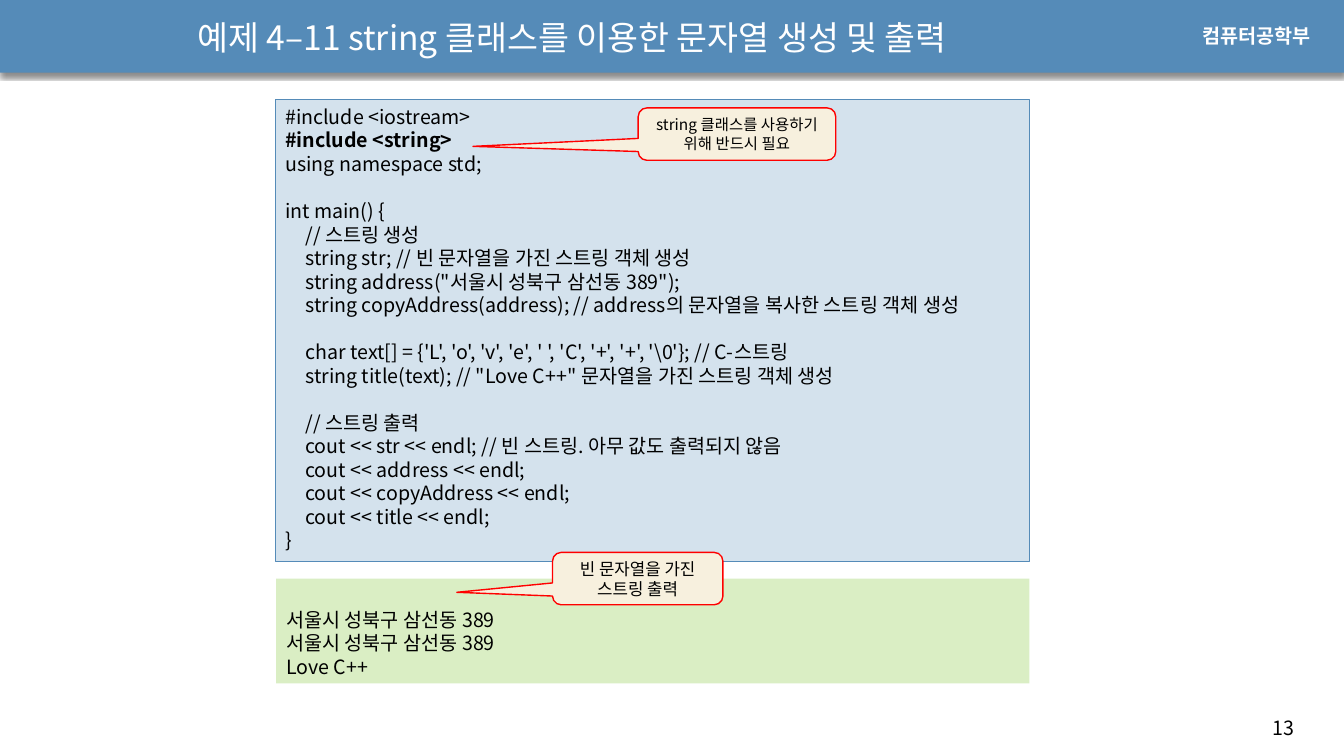
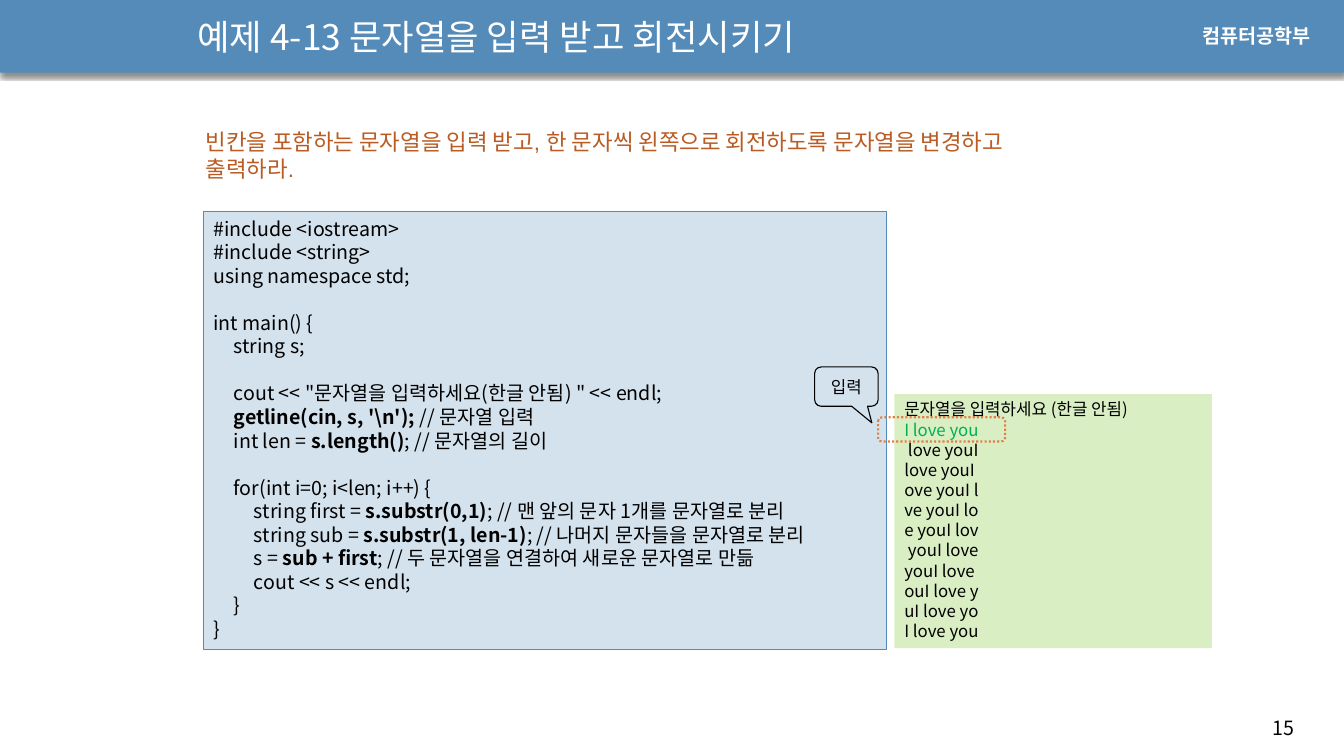
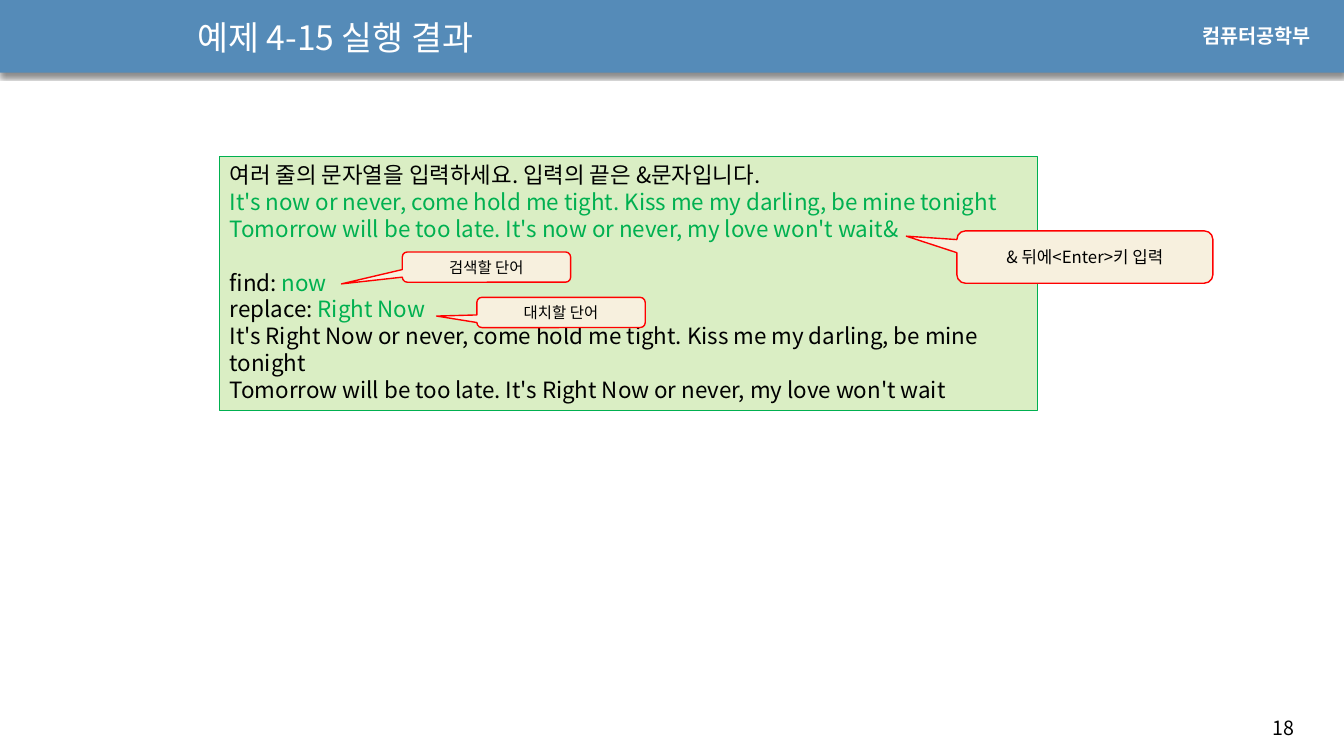
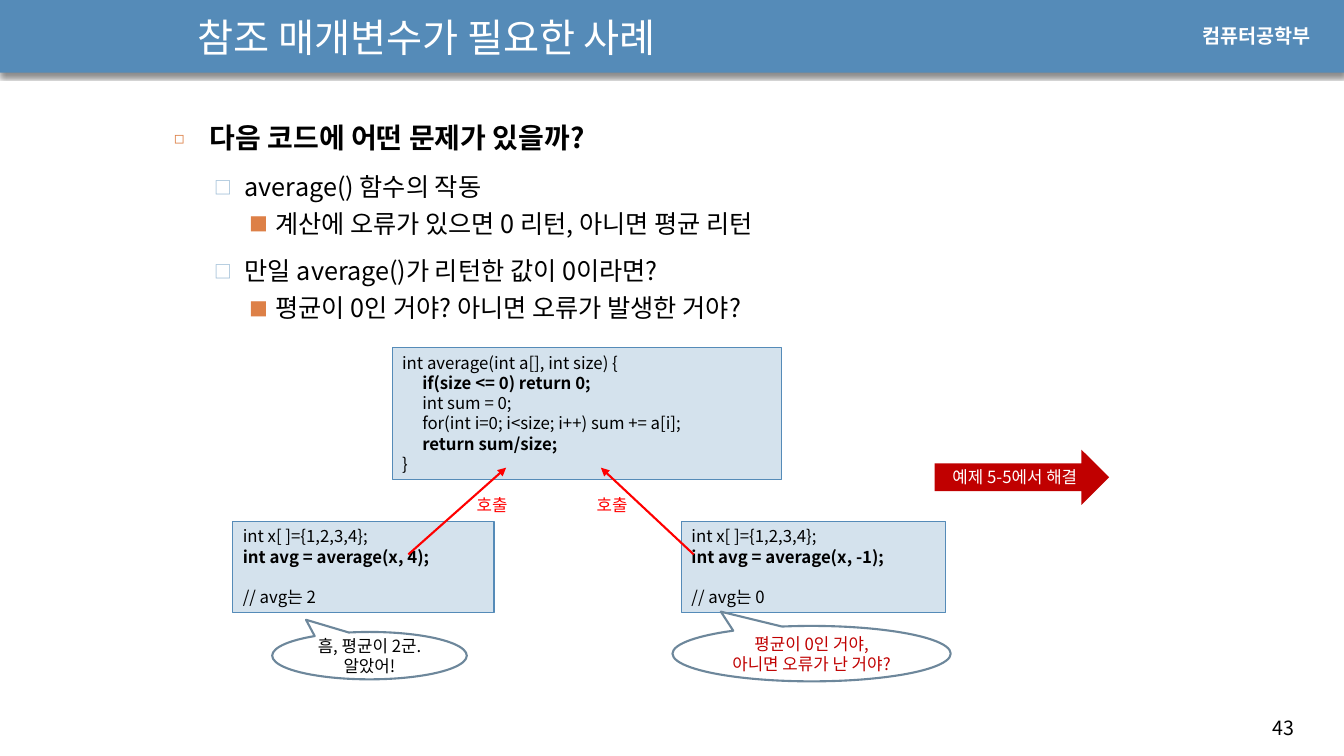
from lxml import etree
from pptx import Presentation
from pptx.dml.color import RGBColor
from pptx.enum.dml import MSO_LINE
from pptx.enum.shapes import MSO_CONNECTOR, MSO_SHAPE as SHAPE
from pptx.enum.text import MSO_ANCHOR as ANCHOR, PP_ALIGN as ALIGN
from pptx.oxml.ns import qn
from pptx.util import Inches, Pt

FONT = "Noto Sans CJK KR"
BLUE, WHITE, BLACK, RED = "558BB8", "FFFFFF", "000000", "FF0000"
DARK_RED, GREEN, ORANGE = "C00000", "00B050", "DD8047"
LEADING = 1.2
TAB_STEP = 0.2

BOLD = {"bold": True}
TYPED = {"color": GREEN}
CODE = {"kind": SHAPE.RECTANGLE, "fill": "D4E2ED", "line": BLUE}
OUTPUT = {"kind": SHAPE.RECTANGLE, "fill": "DAEEC4"}
CENTERED = {"align": ALIGN.CENTER, "anchor": ANCHOR.MIDDLE}
NOTE = {"kind": SHAPE.ROUNDED_RECTANGULAR_CALLOUT, "fill": "F7F0DE",
        "line": RED, "line_width": 1, **CENTERED}
THOUGHT = {"kind": SHAPE.OVAL_CALLOUT, "line": "6D879B", "line_width": 1.5,
           "adjust": (-0.326, -0.758), **CENTERED}

prs = Presentation()
prs.slide_width, prs.slide_height = Inches(13.33), Inches(7.5)


def add_block(slide, at, lines=(), kind=None, fill=None, line=None, line_width=0.75,
              adjust=(), align=ALIGN.LEFT, anchor=ANCHOR.TOP, wrap=True,
              size=12, color=BLACK, bold=False, font=FONT):
    """Add a shape, or a text box if kind is None.

    A line is a string or a list of strings and (string, format) pairs;
    an empty line becomes space before the next one.
    """
    box = [Inches(v) for v in at]
    if kind is None:
        block = slide.shapes.add_textbox(*box)
    else:
        block = slide.shapes.add_shape(kind, *box)
        block.shadow.inherit = False
        for i, value in enumerate(adjust):
            block.adjustments[i] = value
        if fill:
            block.fill.solid()
            block.fill.fore_color.rgb = RGBColor.from_string(fill)
        else:
            block.fill.background()
        if line:
            block.line.color.rgb = RGBColor.from_string(line)
            block.line.width = Pt(line_width)
        else:
            block.line.fill.background()

    frame = block.text_frame
    frame.word_wrap = wrap
    frame.vertical_anchor = anchor
    leading = Pt(LEADING * size)
    gap = 0
    paragraph = None
    for text in lines:
        if text == "":
            gap += leading
            continue
        paragraph = frame.add_paragraph() if paragraph else frame.paragraphs[0]
        paragraph.alignment = align
        paragraph.line_spacing = leading
        paragraph.space_before = gap
        gap = 0
        runs = [text] if isinstance(text, str) else text
        runs = [(part, {}) if isinstance(part, str) else part for part in runs]
        if runs[0][0].startswith("\t"):
            tabs = etree.SubElement(paragraph._p.get_or_add_pPr(), qn("a:tabLst"))
            for step in (1, 2):
                etree.SubElement(tabs, qn("a:tab"), pos=str(Inches(TAB_STEP * step)), algn="l")
        for part, own in runs:
            look = {"size": size, "color": color, "bold": bold, **own}
            run = paragraph.add_run()
            run.text = part
            run.font.size = Pt(look["size"])
            run.font.bold = look["bold"]
            run.font.color.rgb = RGBColor.from_string(look["color"])
            run.font.name = font
            etree.SubElement(run.font._element, qn("a:ea"), typeface=FONT)
    return block


def start_slide(title, number, title_size=24):
    """Add a slide with the header band, department, number and title."""
    slide = prs.slides.add_slide(prs.slide_layouts[6])
    band = add_block(slide, (0, -0.01, 13.33, 0.73), kind=SHAPE.RECTANGLE, fill=BLUE)
    effects = band._element.spPr.find(qn("a:effectLst"))
    shadow = etree.SubElement(effects, qn("a:outerShdw"), blurRad=str(Pt(3)),
                              dist=str(Pt(2.4)), dir="5400000", algn="t", rotWithShape="0")
    shade = etree.SubElement(shadow, qn("a:srgbClr"), val=BLACK)
    etree.SubElement(shade, qn("a:alpha"), val="45000")
    add_block(slide, (12.52, 7.05, 0.71, 0.34), [number], size=14)
    add_block(slide, (11.83, 0.19, 1.37, 0.34), ["컴퓨터공학부"],
              size=14, color=WHITE, bold=True, font="Arial")
    add_block(slide, (1.86, 0.05, 8.82, 0.63), [title], size=title_size,
              color=WHITE, anchor=ANCHOR.MIDDLE)
    return slide


# Example 4-11: creating and printing strings
slide = start_slide("예제 4–11 string 클래스를 이용한 문자열 생성 및 출력", "13")
add_block(slide, (2.73, 0.99, 7.48, 4.58), [
    "#include <iostream>",
    [("#include <string>", BOLD)],
    "using namespace std;",
    "",
    "int main() {",
    "\t// 스트링 생성",
    "\tstring str; // 빈 문자열을 가진 스트링 객체 생성",
    "\tstring address(\"서울시 성북구 삼선동 389\");",
    "\tstring copyAddress(address); // address의 문자열을 복사한 스트링 객체 생성",
    "",
    "\tchar text[] = {'L', 'o', 'v', 'e', ' ', 'C', '+', '+', '\\0'}; // C-스트링",
    "\tstring title(text); // \"Love C++\" 문자열을 가진 스트링 객체 생성",
    "",
    "\t// 스트링 출력",
    "\tcout << str << endl; // 빈 스트링. 아무 값도 출력되지 않음",
    "\tcout << address << endl;",
    "\tcout << copyAddress << endl;",
    "\tcout << title << endl;",
    "}",
], size=14, **CODE)
add_block(slide, (2.74, 5.74, 7.47, 1.04),
          ["서울시 성북구 삼선동 389", "서울시 성북구 삼선동 389", "Love C++"],
          size=14, anchor=ANCHOR.BOTTOM, **OUTPUT)
add_block(slide, (5.48, 5.48, 1.69, 0.52), ["빈 문자열을 가진 스트링 출력"],
          adjust=(-1.062, 0.262), **NOTE)
add_block(slide, (6.33, 1.07, 1.96, 0.52), ["string 클래스를 사용하기 위해 반드시 필요"],
          size=11, adjust=(-1.336, 0.235), **NOTE)

# Example 4-13: rotating a string
slide = start_slide("예제 4-13 문자열을 입력 받고 회전시키기", "15", 25.2)
add_block(slide, (8.87, 3.91, 3.15, 2.52), [
    "문자열을 입력하세요 (한글 안됨)",
    [("I love you", TYPED)],
    " love youI",
    "love youI",
    "ove youI l",
    "ve youI lo",
    "e youI lov",
    " youI love",
    "youI love",
    "ouI love y",
    "uI love yo",
    "I love you",
], **OUTPUT)
add_block(slide, (2.02, 2.1, 6.77, 4.34), [
    "#include <iostream>",
    "#include <string>",
    "using namespace std;",
    "",
    "int main() {",
    "\tstring s;",
    "",
    "\tcout << \"문자열을 입력하세요(한글 안됨) \" << endl;",
    ["\t", ("getline(cin, s, '\\n'); ", BOLD), "// 문자열 입력"],
    ["\tint len = ", ("s.length()", BOLD), "; // 문자열의 길이"],
    "",
    "\tfor(int i=0; i<len; i++) {",
    ["\t\tstring first = ", ("s.substr(0,1)", BOLD), "; // 맨 앞의 문자 1개를 문자열로 분리"],
    ["\t\tstring sub = ", ("s.substr(1, len-1)", BOLD), "; // 나머지 문자들을 문자열로 분리"],
    ["\t\ts = ", ("sub + first", BOLD), "; // 두 문자열을 연결하여 새로운 문자열로 만듦"],
    "\t\tcout << s << endl;",
    "\t}",
    "}",
], size=14, **CODE)
add_block(slide, (1.94, 1.22, 8.65, 0.64),
          ["빈칸을 포함하는 문자열을 입력 받고, 한 문자씩 왼쪽으로 회전하도록 문자열을 변경하고 출력하라."],
          size=16, color="B95B22", font="Arial")
typed_mark = add_block(slide, (8.71, 4.14, 1.26, 0.24), kind=SHAPE.ROUNDED_RECTANGLE,
                       line=ORANGE, line_width=1.5)
typed_mark.line.dash_style = MSO_LINE.ROUND_DOT
add_block(slide, (8.08, 3.64, 0.63, 0.39), ["입력"], kind=SHAPE.ROUNDED_RECTANGULAR_CALLOUT,
          line=BLACK, line_width=0.8, adjust=(0.401, 0.921), **CENTERED)

# Example 4-15: find and replace
slide = start_slide("예제 4-15 실행 결과", "18")
add_block(slide, (2.18, 1.55, 8.11, 2.52), [
    "여러 줄의 문자열을 입력하세요. 입력의 끝은 &문자입니다.",
    [("It's now or never, come hold me tight. Kiss me my darling, be mine tonight", TYPED)],
    [("Tomorrow will be too late. It's now or never, my love won't wait&", TYPED)],
    "",
    ["find: ", ("now", TYPED)],
    ["replace: ", ("Right Now", TYPED)],
    "It's Right Now or never, come hold me tight. Kiss me my darling, be mine tonight",
    "Tomorrow will be too late. It's Right Now or never, my love won't wait",
], size=16, line=GREEN, **OUTPUT)
for at, text, size, pointer in [
    ((9.49, 2.29, 2.54, 0.52), "& 뒤에<Enter>키 입력", 12, (-0.697, -0.398)),
    ((3.99, 2.5, 1.67, 0.3), "검색할 단어", 11, (-0.861, 0.556)),
    ((4.73, 2.95, 1.67, 0.3), "대치할 단어", 11, (-0.739, 0.12)),
]:
    add_block(slide, at, [text], size=size, adjust=pointer, **NOTE)

# Why reference parameters are needed
slide = start_slide("참조 매개변수가 필요한 사례", "43", 28)
outline = add_block(slide, (1.63, 1.15, 11.1, 5.51), [
    [("다음 코드에 어떤 문제가 있을까?", {"size": 20, "bold": True})],
    "average() 함수의 작동",
    "계산에 오류가 있으면 0 리턴, 아니면 평균 리턴",
    "만일 average()가 리턴한 값이 0이라면?",
    "평균이 0인 거야? 아니면 오류가 발생한 거야?",
], size=18)
# size, space before, left margin, hanging indent, bullet, bullet colour, bullet percent
levels = [
    (20, 0, 0.35, 0.35, "◻", ORANGE, 60),
    (18, 12, 0.7, 0.3, "□", "94B6D2", 70),
    (18, 5, 1, 0.25, "■", ORANGE, 75),
]
for paragraph, level in zip(outline.text_frame.paragraphs, (0, 1, 2, 1, 2)):
    size, before, margin, hanging, bullet, bullet_color, percent = levels[level]
    paragraph.level = level
    paragraph.line_spacing = Pt(LEADING * size)
    paragraph.space_before = Pt(before)
    props = paragraph._p.get_or_add_pPr()
    props.set("marL", str(Inches(margin)))
    props.set("indent", str(-Inches(hanging)))
    tint = etree.SubElement(props, qn("a:buClr"))
    etree.SubElement(tint, qn("a:srgbClr"), val=bullet_color)
    etree.SubElement(props, qn("a:buSzPct"), val=str(percent * 1000))
    etree.SubElement(props, qn("a:buFont"), typeface=FONT)
    etree.SubElement(props, qn("a:buChar"), char=bullet)

add_block(slide, (3.89, 3.45, 3.86, 1.31), [
    "int average(int a[], int size) {",
    ["\t", ("if(size <= 0) return 0;", BOLD)],
    "\tint sum = 0;",
    "\tfor(int i=0; i<size; i++) sum += a[i];",
    ["\t", ("return sum/size;", BOLD)],
    "}",
], **CODE)
for left, width, argument, result, call_from, call_to, label_left in [
    (6.76, 2.62, "-1", "0", 6.88, 5.96, 5.82),
    (2.31, 2.59, "4", "2", 4.05, 5.02, 4.63),
]:
    add_block(slide, (left, 5.17, width, 0.91), [
        "int x[ ]={1,2,3,4};",
        [(f"int avg = average(x, {argument});", BOLD)],
        "",
        f"// avg는 {result}",
    ], **CODE)
    call = slide.shapes.add_connector(MSO_CONNECTOR.STRAIGHT, Inches(call_from), Inches(5.5),
                                      Inches(call_to), Inches(4.64))
    call.line.color.rgb = RGBColor.from_string(RED)
    call.line.width = Pt(1.5)
    etree.SubElement(call.line._get_or_add_ln(), qn("a:tailEnd"), type="triangle")
    etree.SubElement(call._element.spPr, qn("a:effectLst"))
    add_block(slide, (label_left, 4.86, 0.54, 0.3), ["호출"], color=RED, wrap=False)

add_block(slide, (2.7, 6.27, 1.93, 0.47), ["흠, 평균이 2군. 알았어!"], **THOUGHT)
add_block(slide, (6.67, 6.21, 2.76, 0.55), ["평균이 0인 거야,", "아니면 오류가 난 거야?"],
          color=DARK_RED, **THOUGHT)
add_block(slide, (9.27, 4.46, 1.73, 0.55), ["예제 5-5에서 해결"], kind=SHAPE.RIGHT_ARROW,
          fill=DARK_RED, color=WHITE, **CENTERED)

prs.save("out.pptx")
